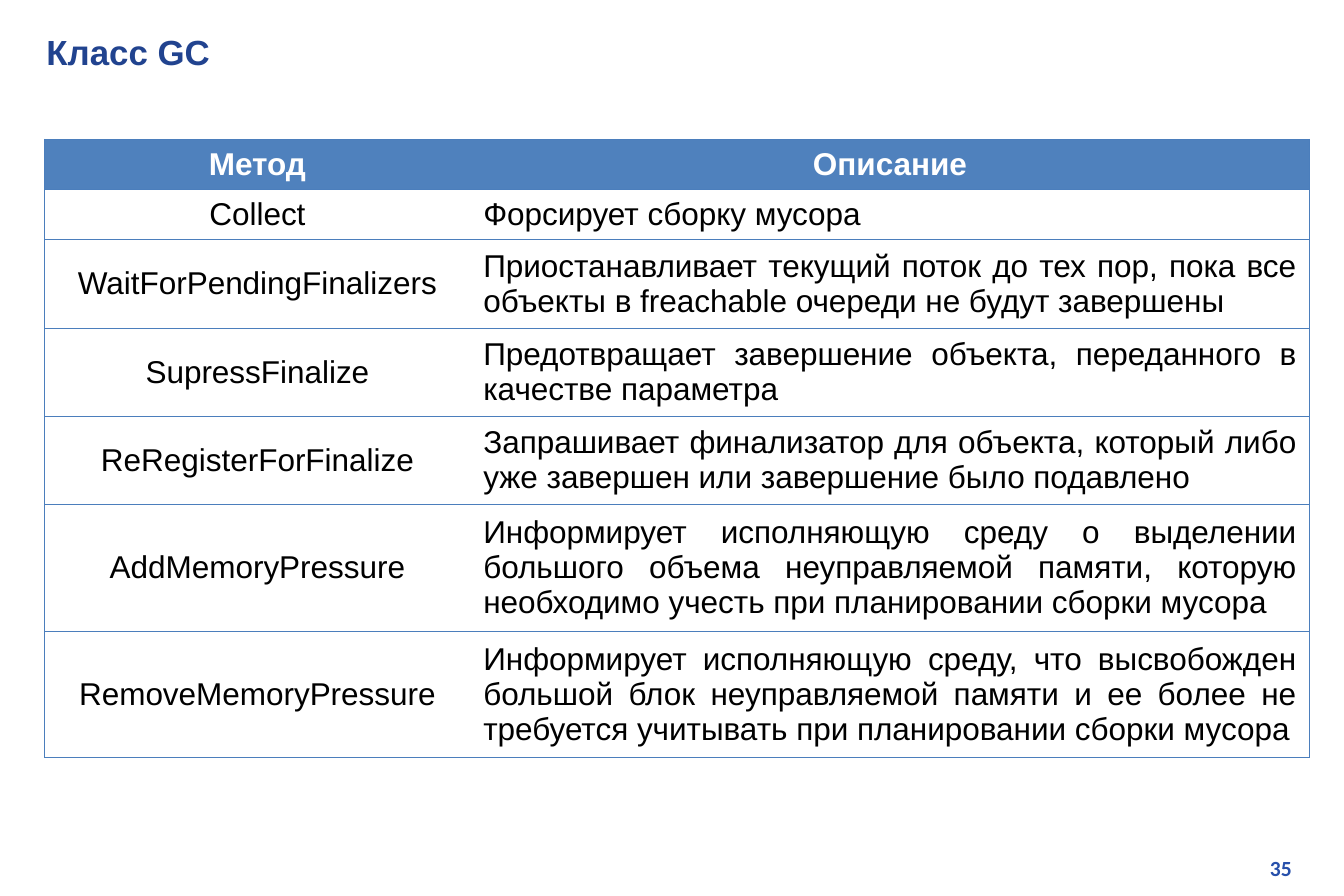
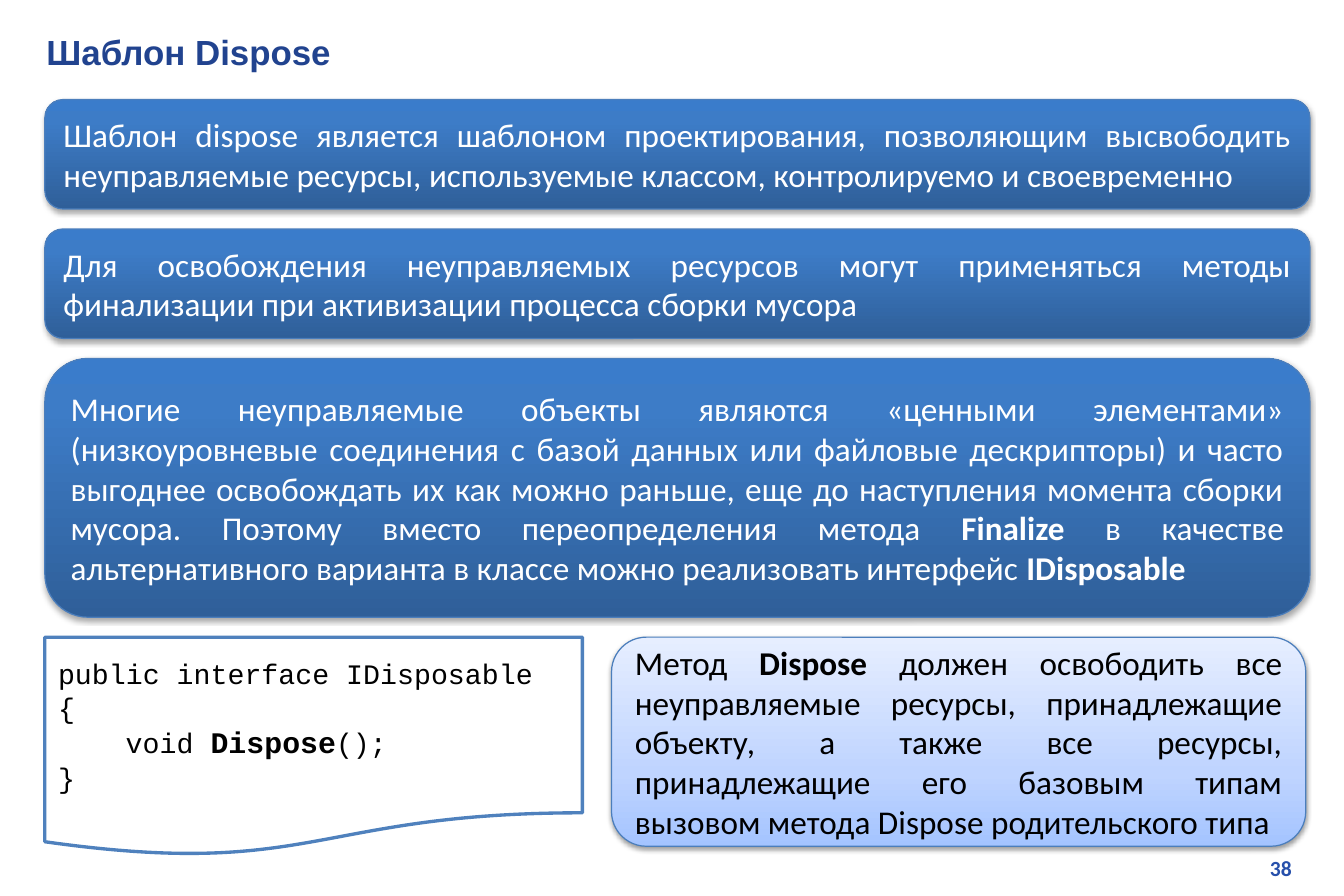
from lxml import etree
from pptx import Presentation
from pptx.dml.color import RGBColor
from pptx.enum import shapes, text
from pptx.oxml import ns, parse_xml
from pptx.util import Pt

WHITE = RGBColor(0xFF, 0xFF, 0xFF)
BLACK = RGBColor(0x00, 0x00, 0x00)
TITLE_BLUE = RGBColor(0x21, 0x43, 0x8F)
NUMBER_BLUE = RGBColor(0x27, 0x50, 0xAB)
HEADER_BLUE = RGBColor(0x4F, 0x81, 0xBD)
BORDER_BLUE = RGBColor(0x4B, 0x7E, 0xBC)
# Gradient stops run from the bottom edge to the top edge
DARK_STOPS = [(0, RGBColor(0x2F, 0x5F, 0x99)), (80, RGBColor(0x3D, 0x7C, 0xC7)),
              (100, RGBColor(0x3A, 0x7C, 0xCB))]
LIGHT_STOPS = [(0, RGBColor(0xA4, 0xC4, 0xFF)), (35, RGBColor(0xBF, 0xD4, 0xFF)),
               (100, RGBColor(0xE6, 0xEE, 0xFF))]
LEFT, WIDTH, GAP = 27, 762.5, 12


def write(frame, content, size, font, color, align=text.PP_ALIGN.LEFT, bold=False, bold_size=None):
    """Fill a text frame; lines become paragraphs and *starred* words become bold."""
    frame.word_wrap = True
    frame.margin_left = frame.margin_right = Pt(8)
    frame.margin_top = frame.margin_bottom = Pt(4)
    frame.text = content.replace("*", "")
    for paragraph, line in zip(frame.paragraphs, content.split("\n")):
        paragraph.alignment = align
        parts = line.split("*")
        paragraph.text = parts[0]
        for part in parts[1:]:
            paragraph.add_run().text = part
        for index, run in enumerate(paragraph.runs):
            starred = index % 2 == 1
            run.font.size = Pt(bold_size if starred and bold_size else size)
            run.font.name = font
            run.font.color.rgb = color
            run.font.bold = bold or starred


def add_panel(slide, box, content, stops, color, shadow_alpha, shadow_distance):
    """Add a rounded box with a vertical gradient and a soft shadow."""
    shape = slide.shapes.add_shape(shapes.MSO_SHAPE.ROUNDED_RECTANGLE, *map(Pt, box))
    shape.line.color.rgb = BORDER_BLUE
    shape.line.width = Pt(0.75)
    shape.fill.gradient()
    shape.fill.gradient_angle = 90
    stop_list = shape._element.spPr.find(".//" + ns.qn("a:gsLst"))
    for old_stop in list(stop_list):
        stop_list.remove(old_stop)
    for position, stop_color in stops:
        stop = etree.SubElement(stop_list, ns.qn("a:gs"), pos=str(position * 1000))
        etree.SubElement(stop, ns.qn("a:srgbClr"), val=str(stop_color))
    shape._element.spPr.append(parse_xml(
        f'<a:effectLst {ns.nsdecls("a")}><a:outerShdw blurRad="{Pt(3.1)}" '
        f'dist="{Pt(shadow_distance)}" dir="5400000" rotWithShape="0"><a:srgbClr val="000000">'
        f'<a:alpha val="{shadow_alpha * 1000}"/></a:srgbClr></a:outerShdw></a:effectLst>'))
    write(shape.text_frame, content, 20, "Calibri", color, text.PP_ALIGN.JUSTIFY)
    shape.text_frame.vertical_anchor = text.MSO_ANCHOR.MIDDLE
    shape.text_frame.paragraphs[0].space_after = Pt(11.1)


presentation = Presentation()
presentation.slide_width, presentation.slide_height = Pt(810), Pt(540)
slides = []
for title, number in [("Класс GC", "35"), ("Шаблон Dispose", "38")]:
    slide = presentation.slides.add_slide(presentation.slide_layouts[6])
    number_box = slide.shapes.add_textbox(Pt(615), Pt(511), Pt(171.5), Pt(24.5))
    write(number_box.text_frame, number, 13, "Calibri", NUMBER_BLUE, text.PP_ALIGN.RIGHT, True)
    title_box = slide.shapes.add_textbox(Pt(20), Pt(14.4), Pt(773), Pt(29))
    write(title_box.text_frame, title, 21, "Arial", TITLE_BLUE, bold=True)
    slides.append(slide)
gc_slide, dispose_slide = slides

# Methods table
methods = [
    ("Метод", "Описание", 30.3),
    ("Collect", "Форсирует сборку мусора", 30.3),
    ("WaitForPendingFinalizers", "Приостанавливает текущий поток до тех пор, пока все объекты "
     "в freachable очереди не будут завершены", 53.2),
    ("SupressFinalize", "Предотвращает завершение объекта, переданного в качестве параметра", 53.2),
    ("ReRegisterForFinalize", "Запрашивает финализатор для объекта, который либо уже завершен "
     "или завершение было подавлено", 53.2),
    ("AddMemoryPressure", "Информирует исполняющую среду о выделении большого объема "
     "неуправляемой памяти, которую необходимо учесть при планировании сборки мусора", 76.3),
    ("RemoveMemoryPressure", "Информирует исполняющую среду, что высвобожден большой блок "
     "неуправляемой памяти и ее более не требуется учитывать при планировании сборки мусора", 76.3),
]
table_height = sum(height for _, _, height in methods)
table = gc_slide.shapes.add_table(
    len(methods), 2, Pt(LEFT), Pt(84), Pt(WIDTH), Pt(table_height)).table
table.first_row = table.horz_banding = False
table.columns[0].width, table.columns[1].width = Pt(256.3), Pt(506.2)
for row_index, (method, description, height) in enumerate(methods):
    table.rows[row_index].height = Pt(height)
    header = row_index == 0
    for column_index, content in enumerate((method, description)):
        cell = table.cell(row_index, column_index)
        centred = header or column_index == 0
        write(cell.text_frame, content, 19, "Arial", WHITE if header else BLACK,
              text.PP_ALIGN.CENTER if centred else text.PP_ALIGN.JUSTIFY, header)
        cell.vertical_anchor = text.MSO_ANCHOR.MIDDLE
        cell.margin_left = cell.margin_right = Pt(8)
        cell.margin_top = cell.margin_bottom = Pt(3.6)
        inner_side = "R" if column_index == 0 else "L"
        for side in "LRTB":
            border = etree.SubElement(cell._tc.get_or_add_tcPr(), ns.qn("a:ln" + side),
                                      w=str(Pt(0.75)))
            if side == inner_side:
                etree.SubElement(border, ns.qn("a:noFill"))
            else:
                fill = etree.SubElement(border, ns.qn("a:solidFill"))
                etree.SubElement(fill, ns.qn("a:srgbClr"), val=str(BORDER_BLUE))
        cell.fill.solid()
        cell.fill.fore_color.rgb = HEADER_BLUE if header else WHITE

# Stacked statements about the pattern
statements = [
    ("Шаблон dispose является шаблоном проектирования, позволяющим высвободить "
     "неуправляемые ресурсы, используемые классом, контролируемо и своевременно", 66),
    ("Для освобождения неуправляемых ресурсов могут применяться методы финализации "
     "при активизации процесса сборки мусора", 66),
    ("Многие неуправляемые объекты являются «ценными элементами» (низкоуровневые соединения "
     "с базой данных или файловые дескрипторы) и часто выгоднее освобождать их как можно раньше, "
     "еще до наступления момента сборки мусора. Поэтому вместо переопределения метода *Finalize* "
     "в качестве альтернативного варианта в классе можно реализовать интерфейс *IDisposable", 156),
]
top = 60
for statement, height in statements:
    add_panel(dispose_slide, (LEFT, top, WIDTH, height), statement, DARK_STOPS, WHITE, 35, 1.8)
    top += height + GAP

# Interface code and its explanation
code = dispose_slide.shapes.add_shape(
    shapes.MSO_SHAPE.FLOWCHART_DOCUMENT, Pt(LEFT), Pt(top), Pt(324), Pt(132))
code.shadow.inherit = False
code.fill.solid()
code.fill.fore_color.rgb = WHITE
code.line.color.rgb = HEADER_BLUE
code.line.width = Pt(2)
write(code.text_frame, "public interface IDisposable\n{\nvoid *Dispose*();\n}",
      17, "Courier New", BLACK, bold_size=18)
code.text_frame.vertical_anchor = text.MSO_ANCHOR.MIDDLE
code.text_frame.paragraphs[2]._p.get_or_add_pPr().set("marL", str(Pt(40.8)))
add_panel(dispose_slide, (368.6, top, 418.4, 126),
          "Метод *Dispose* должен освободить все неуправляемые ресурсы, принадлежащие объекту, "
          "а также все ресурсы, принадлежащие его базовым типам вызовом метода Dispose "
          "родительского типа", LIGHT_STOPS, BLACK, 38, 1.6)

presentation.save("out.pptx")
